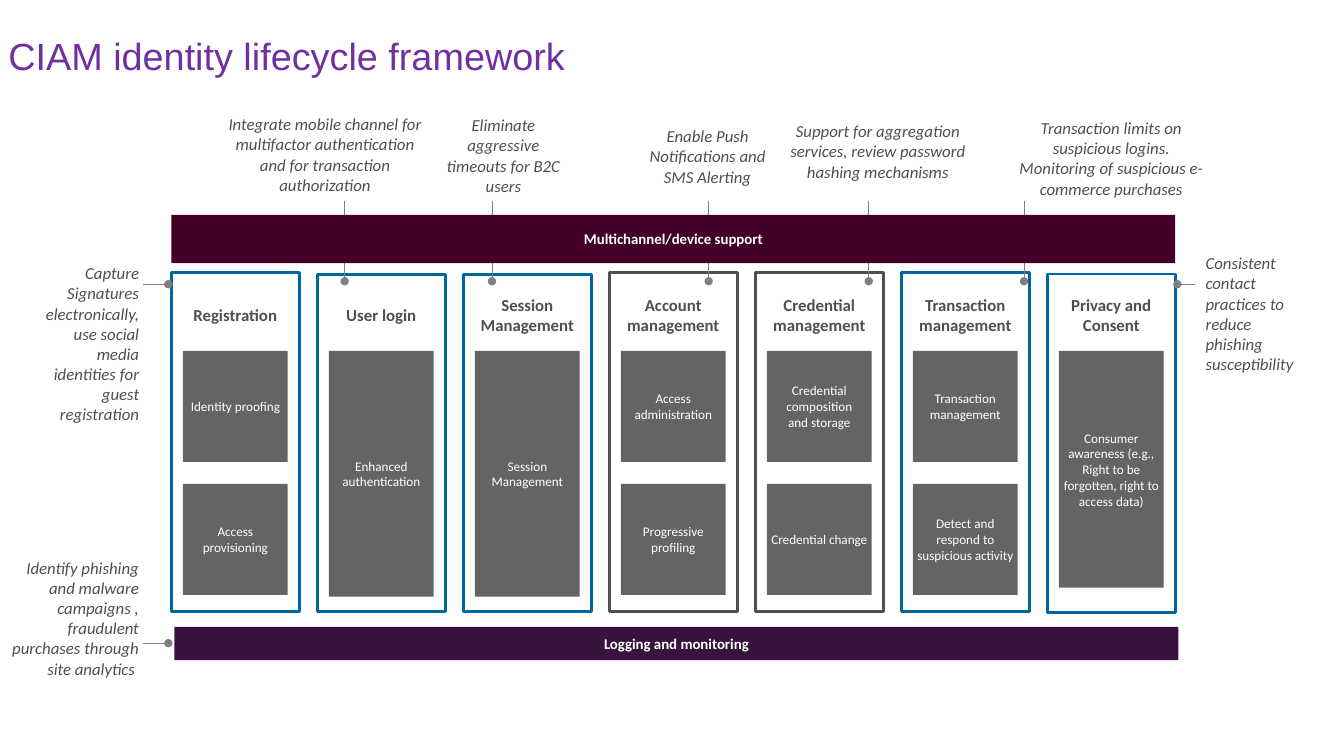
from dataclasses import dataclass

from lxml.etree import SubElement
from pptx import Presentation
from pptx.dml.color import RGBColor as Color
from pptx.enum.shapes import MSO_CONNECTOR as Connector, MSO_SHAPE as Preset
from pptx.enum.text import MSO_ANCHOR as Anchor, MSO_AUTO_SIZE as AutoSize, PP_ALIGN as Align
from pptx.oxml.ns import qn
from pptx.shapes.autoshape import Shape
from pptx.slide import Slide
from pptx.text.text import TextFrame
from pptx.util import Pt


@dataclass(frozen=True)
class Theme:
    title_font: str = "Arial"
    body_font: str = "Calibri"
    title: str = "7030A0"
    text: str = "4D4F53"
    light: str = "FFFFFF"
    customer: str = "0066A1"
    internal: str = "4D4F53"
    step: str = "646464"
    leader: str = "808080"
    channel: str = "420028"
    logging: str = "37133E"
    title_size: float = 27
    note_size: float = 12
    bar_size: float = 10.6
    step_size: float = 9.4


@dataclass(frozen=True)
class Box:
    left: float
    top: float
    width: float
    height: float


@dataclass(frozen=True)
class Style:
    size: float
    color: str
    bold: bool = False
    italic: bool = False
    font: str = "Calibri"


@dataclass(frozen=True)
class Stage:
    heading: str
    heading_width: float
    steps: tuple[str, ...]
    outline: str
    top: float = 194.4
    height: float = 242.6
    tall_step: float = 175.7


@dataclass(frozen=True)
class Note:
    text: str
    box: Box
    align: Align
    start: tuple[float, float]
    end: tuple[float, float]


THEME = Theme()
TITLE = Style(THEME.title_size, THEME.title, font=THEME.title_font)
NOTE = Style(THEME.note_size, THEME.text, italic=True, font=THEME.body_font)
HEADING = Style(THEME.note_size, THEME.text, bold=True, font=THEME.body_font)
STEP = Style(THEME.step_size, THEME.light, font=THEME.body_font)
BAR = Style(THEME.bar_size, THEME.light, bold=True, font=THEME.body_font)

STAGE_LEFT, STAGE_PITCH, STAGE_WIDTH = 122.4, 104.28, 91.4
STEP_TOP, STEP_PITCH, STEP_WIDTH, STEP_HEIGHT = 250.6, 95, 74.9, 79.4
LEADER_TOP, LEADER_BOTTOM = 143.3, 200.9

STAGES = (
    Stage("Registration", 72, ("Identity proofing", "Access provisioning"), THEME.customer),
    Stage("User login", 50.4, ("Enhanced\nauthentication",), THEME.customer, 195.8, 241.2),
    Stage("Session\nManagement", 87.8, ("Session Management",), THEME.customer, 195.8, 241.2),
    Stage("Account management", 74.9, ("Access administration", "Progressive profiling"), THEME.internal),
    Stage("Credential management", 70.6,
          ("Credential composition\nand storage", "Credential change"), THEME.internal),
    Stage("Transaction\nmanagement", 79.9,
          ("Transaction management", "Detect and respond to suspicious activity"), THEME.customer),
    Stage("Privacy and Consent", 65.5,
          ("Consumer awareness (e.g.,\nRight to be forgotten, right to access data)",),
          THEME.customer, 195.8, 241.9, 169.2),
)


def top_note(text: str, box: Box, leader: float) -> Note:
    return Note(text, box, Align.CENTER, (leader, LEADER_TOP), (leader, LEADER_BOTTOM))


NOTES = (
    Note("Capture Signatures electronically, use social media identities for guest registration",
         Box(28.8, 187.9, 70.6, 122.4), Align.RIGHT, (102.2, 203), (120.2, 203)),
    Note("Identify phishing and malware campaigns , fraudulent purchases through site analytics ",
         Box(7.9, 398.2, 91.4, 122.4), Align.RIGHT, (102.2, 459.4), (120.2, 459.4)),
    top_note("Integrate mobile channel for multifactor authentication and for transaction authorization",
             Box(159.1, 81.4, 146.2, 58.3), 246.2),
    top_note("Eliminate aggressive timeouts for B2C users", Box(318.2, 82.1, 82.8, 58.3), 351.4),
    top_note("Enable Push Notifications and SMS Alerting", Box(457.2, 90, 96.5, 43.9), 506.2),
    top_note("Support for aggregation services, review password hashing mechanisms",
             Box(562.3, 86.4, 129.6, 43.9), 620.6),
    top_note("Transaction limits on suspicious logins.\nMonitoring of suspicious e-commerce purchases",
             Box(726.5, 84.2, 134.6, 58.3), 731.5),
    Note("Consistent contact practices to reduce phishing susceptibility",
         Box(861.1, 180.7, 75.6, 87.1), Align.LEFT, (853.9, 203), (841, 203)),
)


def write(frame: TextFrame, text: str, style: Style, align: Align, anchor: Anchor, inset: float = 0) -> None:
    frame.word_wrap = True
    frame.auto_size = AutoSize.NONE
    frame.vertical_anchor = anchor
    frame.margin_left = frame.margin_right = Pt(inset)
    frame.margin_top = frame.margin_bottom = Pt(inset)
    for index, line in enumerate(text.split("\n")):
        paragraph = frame.paragraphs[0] if index == 0 else frame.add_paragraph()
        paragraph.alignment = align
        run = paragraph.add_run()
        run.text = line
        run.font.name = style.font
        run.font.size = Pt(style.size)
        run.font.bold = style.bold
        run.font.italic = style.italic
        run.font.color.rgb = Color.from_string(style.color)


def add_rectangle(slide: Slide, box: Box, fill: str, outline: str = "") -> Shape:
    shape = slide.shapes.add_shape(
        Preset.RECTANGLE, Pt(box.left), Pt(box.top), Pt(box.width), Pt(box.height))
    shape.shadow.inherit = False
    shape.fill.solid()
    shape.fill.fore_color.rgb = Color.from_string(fill)
    if outline:
        shape.line.color.rgb = Color.from_string(outline)
        shape.line.width = Pt(2)
    else:
        shape.line.fill.background()
    return shape


def add_label(slide: Slide, box: Box, text: str, style: Style, align: Align, anchor: Anchor) -> None:
    label = slide.shapes.add_textbox(Pt(box.left), Pt(box.top), Pt(box.width), Pt(box.height))
    write(label.text_frame, text, style, align, anchor)


def add_bar(slide: Slide, box: Box, text: str, fill: str) -> None:
    bar = add_rectangle(slide, box, fill)
    write(bar.text_frame, text, BAR, Align.CENTER, Anchor.MIDDLE)


def add_stage(slide: Slide, stage: Stage, left: float) -> None:
    add_rectangle(slide, Box(left, stage.top, STAGE_WIDTH, stage.height), THEME.light, stage.outline)
    heading_left = left + (STAGE_WIDTH - stage.heading_width) / 2
    add_label(slide, Box(heading_left, 210.2, stage.heading_width, 28.8),
              stage.heading, HEADING, Align.CENTER, Anchor.MIDDLE)
    step_left = left + (STAGE_WIDTH - STEP_WIDTH) / 2
    step_height = stage.tall_step if len(stage.steps) == 1 else STEP_HEIGHT
    for row, text in enumerate(stage.steps):
        box = Box(step_left, STEP_TOP + row * STEP_PITCH, STEP_WIDTH, step_height)
        step = add_rectangle(slide, box, THEME.step)
        write(step.text_frame, text, STEP, Align.CENTER, Anchor.MIDDLE, 1.4)


def add_note(slide: Slide, note: Note) -> None:
    add_label(slide, note.box, note.text, NOTE, note.align, Anchor.TOP)
    ends = [Pt(value) for value in (*note.start, *note.end)]
    leader = slide.shapes.add_connector(Connector.STRAIGHT, *ends)
    leader.line.color.rgb = Color.from_string(THEME.leader)
    leader.line.width = Pt(0.5)
    SubElement(leader.line._get_or_add_ln(), qn("a:tailEnd"), type="oval")
    SubElement(leader._element.spPr, qn("a:effectLst"))


def main() -> None:
    presentation = Presentation()
    presentation.slide_width, presentation.slide_height = Pt(960), Pt(540)
    slide = presentation.slides.add_slide(presentation.slide_layouts[5])
    title = slide.shapes.title
    title.left, title.top, title.width, title.height = Pt(0), Pt(21), Pt(960), Pt(37)
    write(title.text_frame, "CIAM identity lifecycle framework", TITLE, Align.LEFT, Anchor.MIDDLE, 6)
    for index, stage in enumerate(STAGES):
        add_stage(slide, stage, STAGE_LEFT + index * STAGE_PITCH)
    for note in NOTES:
        add_note(slide, note)
    add_bar(slide, Box(STAGE_LEFT, 153.4, 717.1, 34.6), "Multichannel/device support", THEME.channel)
    add_bar(slide, Box(124.6, 447.8, 717.1, 23.8), "Logging and monitoring", THEME.logging)
    presentation.save("out.pptx")


if __name__ == "__main__":
    main()
